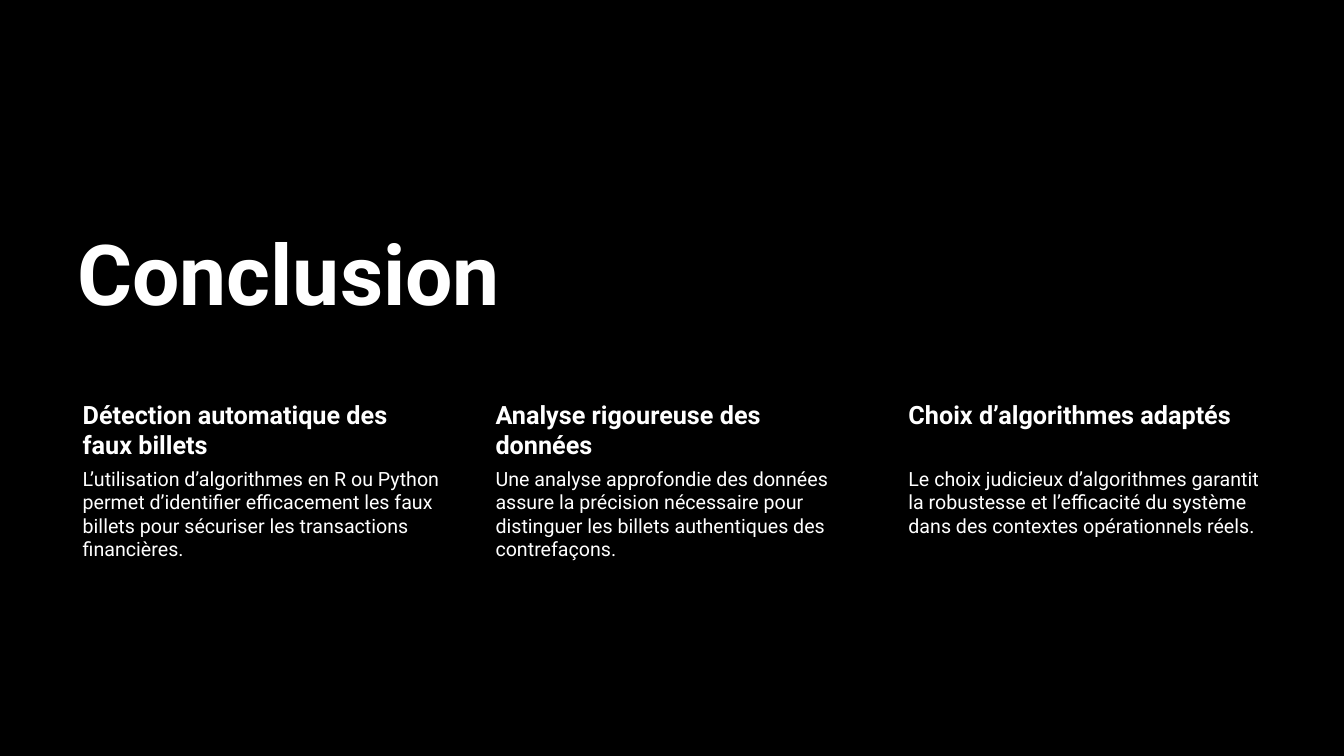
from dataclasses import dataclass

import pptx
import pptx.dml.color
import pptx.enum.text
import pptx.slide
import pptx.util

Inches = pptx.util.Inches
COLOURS = {"background": "000000", "text": "FFFFFF"}
FONT = "Roboto"
LEFT = 0.67
COLUMN_STEP = 4.095
COLUMN_WIDTH = 3.72


@dataclass(frozen=True)
class TextStyle:
    size: int
    bold: bool
    insets: tuple[float, float, float, float]
    anchor: pptx.enum.text.MSO_ANCHOR = pptx.enum.text.MSO_ANCHOR.TOP
    line_spacing: float = 1.0


@dataclass(frozen=True)
class Takeaway:
    heading: str
    detail: str


TITLE = TextStyle(60, True, (0.1, 0.05, 0.1, 0.05), pptx.enum.text.MSO_ANCHOR.BOTTOM, 0.9)
HEADING = TextStyle(18, True, (0.15, 0.03, 0.03, 0.03))
DETAIL = TextStyle(14, False, (0.15, 0.02, 0.02, 0.02))

TAKEAWAYS = [
    Takeaway(
        "Détection automatique des faux billets",
        "L’utilisation d’algorithmes en R ou Python permet d’identifier efficacement "
        "les faux billets pour sécuriser les transactions financières.",
    ),
    Takeaway(
        "Analyse rigoureuse des données",
        "Une analyse approfondie des données assure la précision nécessaire pour "
        "distinguer les billets authentiques des contrefaçons.",
    ),
    Takeaway(
        "Choix d’algorithmes adaptés",
        "Le choix judicieux d’algorithmes garantit la robustesse et l’efficacité "
        "du système dans des contextes opérationnels réels.",
    ),
]


def colour(name: str) -> pptx.dml.color.RGBColor:
    return pptx.dml.color.RGBColor.from_string(COLOURS[name])


def add_text(page: pptx.slide.Slide, text: str, style: TextStyle,
             left: float, top: float, width: float, height: float) -> None:
    box = page.shapes.add_textbox(Inches(left), Inches(top), Inches(width), Inches(height))
    frame = box.text_frame
    frame.word_wrap = True
    frame.vertical_anchor = style.anchor
    inset_left, inset_top, inset_right, inset_bottom = map(Inches, style.insets)
    frame.margin_left, frame.margin_top = inset_left, inset_top
    frame.margin_right, frame.margin_bottom = inset_right, inset_bottom
    para = frame.paragraphs[0]
    para.line_spacing = style.line_spacing
    span = para.add_run()
    span.text = text
    span.font.name = FONT
    span.font.size = pptx.util.Pt(style.size)
    span.font.bold = style.bold
    span.font.color.rgb = colour("text")


def main() -> None:
    deck = pptx.Presentation()
    deck.slide_width, deck.slide_height = Inches(13.33), Inches(7.5)
    page = deck.slides.add_slide(deck.slide_layouts[6])
    page.background.fill.solid()
    page.background.fill.fore_color.rgb = colour("background")

    add_text(page, "Conclusion", TITLE, LEFT, 2.02, 8.03, 1.24)
    for index, takeaway in enumerate(TAKEAWAYS):
        left = LEFT + index * COLUMN_STEP
        add_text(page, takeaway.heading, HEADING, left, 3.93, COLUMN_WIDTH, 0.68)
        add_text(page, takeaway.detail, DETAIL, left, 4.61, COLUMN_WIDTH, 2.06)

    deck.save("out.pptx")


if __name__ == "__main__":
    main()
